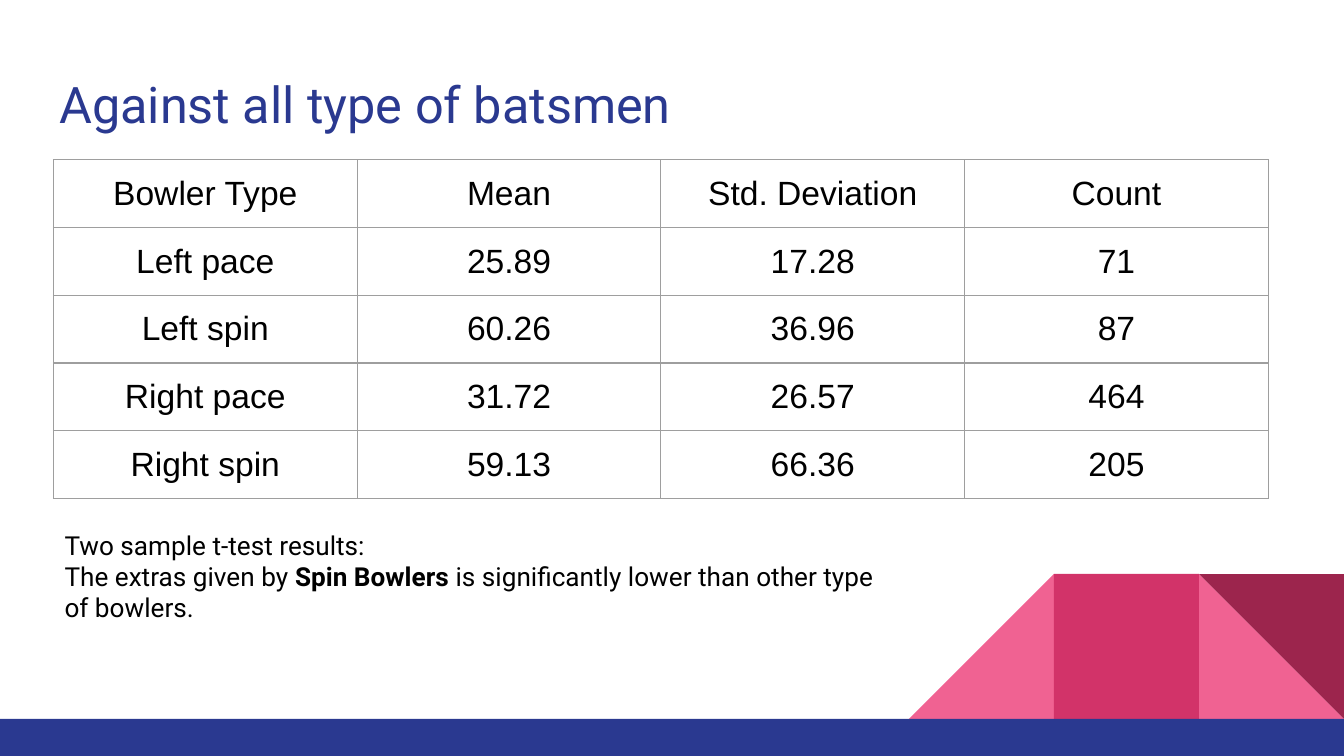
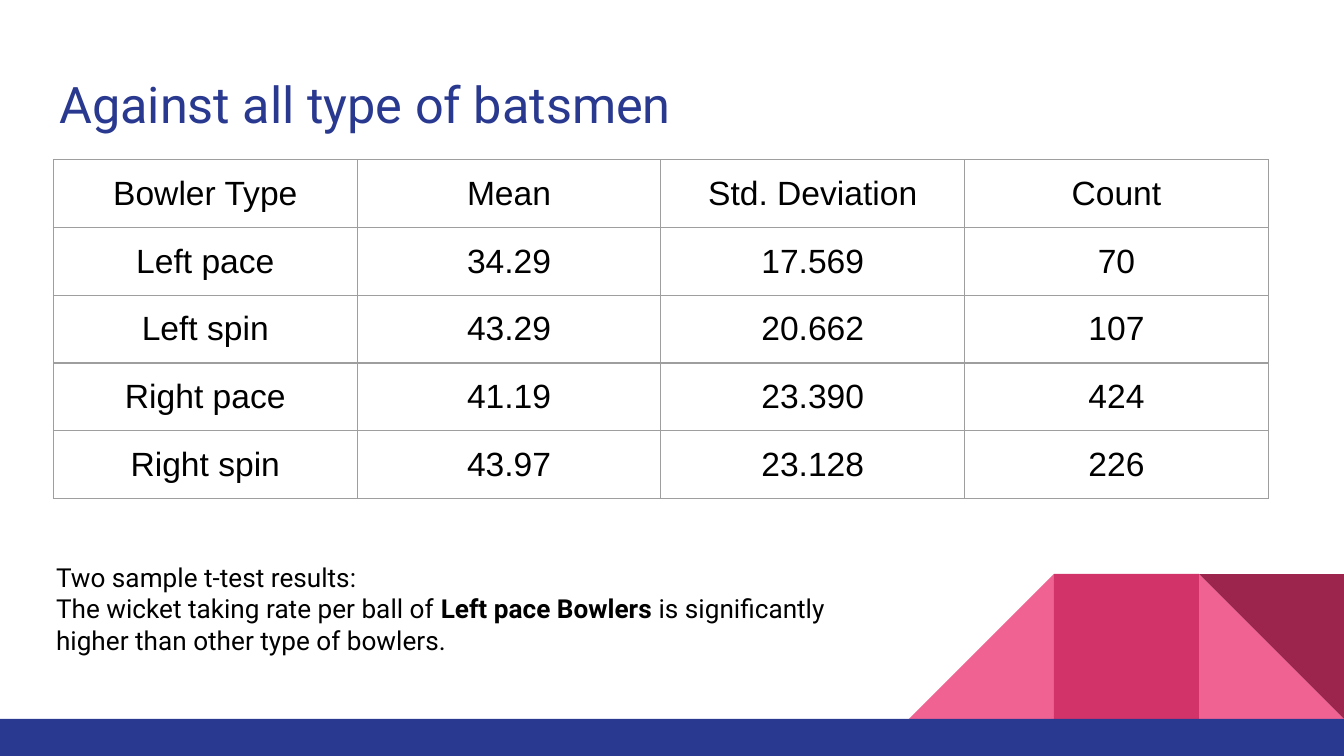
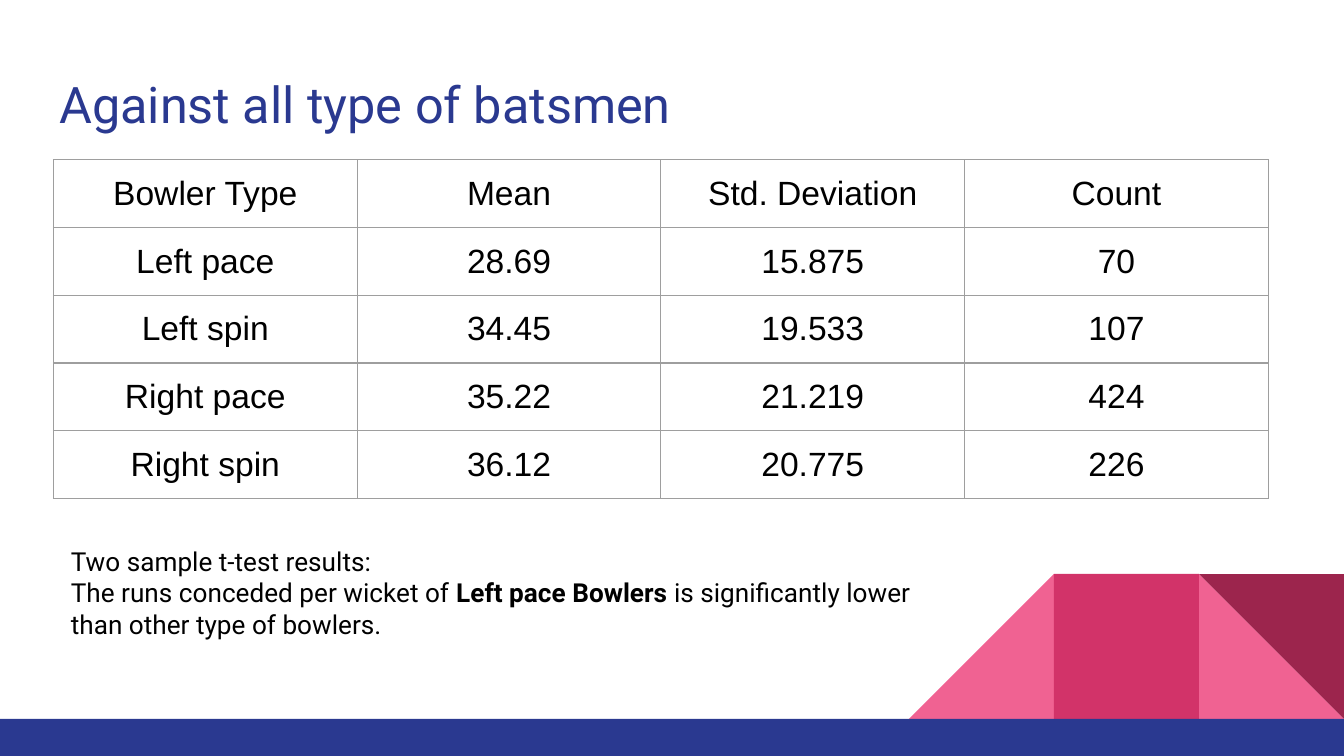
import pptx
import pptx.util
import pptx.dml.color
import pptx.enum.shapes
import pptx.enum.text
import pptx.oxml
import pptx.oxml.ns

Cm = pptx.util.Cm
Pt = pptx.util.Pt
Kind = pptx.enum.shapes.MSO_SHAPE
Align = pptx.enum.text.PP_ALIGN
Anchor = pptx.enum.text.MSO_ANCHOR
Fit = pptx.enum.text.MSO_AUTO_SIZE

# Content: table values, note place (left, top, width in cm), note text in three parts
TITLE = "Against all type of batsmen"
HEADS = ["Bowler Type", "Mean", "Std. Deviation", "Count"]
TYPES = ["Left pace", "Left spin", "Right pace", "Right spin"]
INTRO = "Two sample t-test results:"
PAGES = [
    {"stats": [("25.89", "17.28", "71"), ("60.26", "36.96", "87"),
               ("31.72", "26.57", "464"), ("59.13", "66.36", "205")],
     "place": (0.97, 9.75, 15.8),
     "note": ("The extras given by ", "Spin Bowlers ",
              "is significantly lower than other type of bowlers.")},
    {"stats": [("34.29", "17.569", "70"), ("43.29", "20.662", "107"),
               ("41.19", "23.390", "424"), ("43.97", "23.128", "226")],
     "place": (0.81, 10.36, 15.9),
     "note": ("The wicket taking rate per ball of ", "Left pace Bowlers ",
              "is significantly higher than other type of bowlers.")},
    {"stats": [("28.69", "15.875", "70"), ("34.45", "19.533", "107"),
               ("35.22", "21.219", "424"), ("36.12", "20.775", "226")],
     "place": (1.09, 10.06, 16.41),
     "note": ("The runs conceded per wicket of ", "Left pace Bowlers ",
              "is significantly lower than other type of bowlers.")},
]

# Shared style, lengths in cm
COLORS = {"navy": "2A3990", "pink": "F06292", "rose": "D23369",
          "wine": "9C254D", "grid": "9E9E9E", "ink": "000000"}
WIDTH, HEIGHT = 25.4, 14.29
BAND = 0.7
TILE = 2.74
INSET = 0.25
COL, ROW = 5.74, 1.28
# Corner tiles: column counted from the left, shape, turn, colour
TILES = [(2, Kind.RIGHT_TRIANGLE, 0, "pink"),
         (0, Kind.RIGHT_TRIANGLE, 270, "pink"),
         (1, Kind.RECTANGLE, 0, "rose"),
         (2, Kind.RIGHT_TRIANGLE, 180, "wine")]


def tint(name):
    return pptx.dml.color.RGBColor.from_string(COLORS[name])


def style(para, font, size, color):
    para.font.name = font
    para.font.size = Pt(size)
    para.font.color.rgb = tint(color)


def add_block(slide, kind, left, top, width, height, color):
    block = slide.shapes.add_shape(kind, Cm(left), Cm(top), Cm(width), Cm(height))
    block.shadow.inherit = False
    block.fill.solid()
    block.fill.fore_color.rgb = tint(color)
    block.line.fill.background()
    return block


def add_box(slide, left, top, width, height):
    box = slide.shapes.add_textbox(Cm(left), Cm(top), Cm(width), Cm(height))
    frame = box.text_frame
    frame.word_wrap = True
    frame.margin_left = frame.margin_right = Cm(INSET)
    frame.margin_top = frame.margin_bottom = Cm(INSET)
    return frame


def add_base(slide):
    # Corner tiles stand on the bottom band
    floor = HEIGHT - BAND
    for col, kind, turn, color in TILES:
        left = WIDTH - (3 - col) * TILE
        tile = add_block(slide, kind, left, floor - TILE, TILE, TILE, color)
        tile.rotation = turn
    add_block(slide, Kind.RECTANGLE, 0, floor, WIDTH, BAND, "navy")
    # Title
    para = add_box(slide, 0.87, 1.14, 23.67, 1.67).paragraphs[0]
    para.text = TITLE
    style(para, "Roboto", 27, "navy")


def add_edges(cell):
    props = cell._tc.get_or_add_tcPr()
    space = pptx.oxml.ns.nsdecls("a")
    for spot, side in enumerate(("lnL", "lnR", "lnT", "lnB")):
        props.insert(spot, pptx.oxml.parse_xml(
            f'<a:{side} {space} w="{Pt(0.75)}"><a:solidFill>'
            f'<a:srgbClr val="{COLORS["grid"]}"/></a:solidFill></a:{side}>'))


def add_grid(slide, stats):
    rows = [HEADS] + [[name, *vals] for name, vals in zip(TYPES, stats)]
    count, wide = len(rows), len(HEADS)
    grid = slide.shapes.add_table(count, wide, Cm(1.01), Cm(3.02),
                                  Cm(wide * COL), Cm(count * ROW)).table
    grid.first_row = grid.horz_banding = False
    for col in grid.columns:
        col.width = Cm(COL)
    for line, row in zip(grid.rows, rows):
        line.height = Cm(ROW)
        for cell, text in zip(line.cells, row):
            cell.fill.background()
            cell.vertical_anchor = Anchor.MIDDLE
            cell.margin_left = cell.margin_right = Cm(INSET)
            cell.margin_top = cell.margin_bottom = Cm(INSET)
            add_edges(cell)
            para = cell.text_frame.paragraphs[0]
            para.text = text
            para.alignment = Align.CENTER
            style(para, "Arial", 18, "ink")


def add_note(slide, place, note):
    frame = add_box(slide, *place, 2.31)
    frame.auto_size = Fit.SHAPE_TO_FIT_TEXT
    frame.text = INTRO
    body = frame.add_paragraph()
    for spot, text in enumerate(note):
        run = body.add_run()
        run.text = text
        run.font.bold = spot == 1
    for para in frame.paragraphs:
        style(para, "Roboto", 14, "ink")


def main():
    deck = pptx.Presentation()
    deck.slide_width, deck.slide_height = Cm(WIDTH), Cm(HEIGHT)
    for page in PAGES:
        slide = deck.slides.add_slide(deck.slide_layouts[6])
        add_base(slide)
        add_grid(slide, page["stats"])
        add_note(slide, page["place"], page["note"])
    deck.save("out.pptx")


if __name__ == "__main__":
    main()
